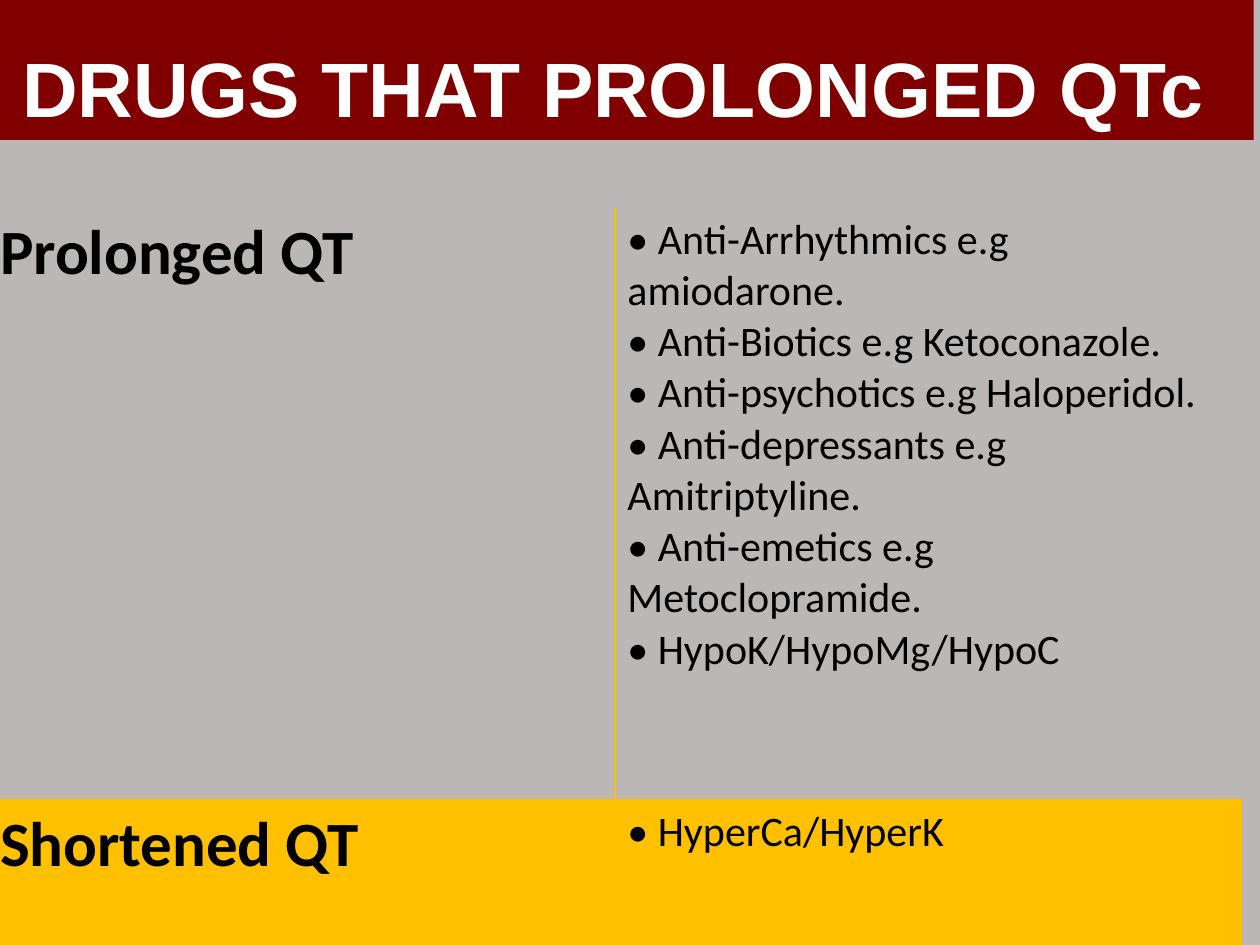
from lxml.etree import SubElement as Sub
from pptx import Presentation
from pptx.dml.color import RGBColor as RGB
from pptx.enum.shapes import MSO_SHAPE as Shape
from pptx.enum.text import MSO_ANCHOR as Anchor, PP_ALIGN as Align
from pptx.oxml.ns import qn
from pptx.util import Inches as In, Pt

TITLE = "DRUGS THAT PROLONGED QTc"
ROWS = [
    ("Prolonged QT", [
        "Anti-Arrhythmics e.g amiodarone.",
        "Anti-Biotics e.g Ketoconazole.",
        "Anti-psychotics e.g Haloperidol.",
        "Anti-depressants e.g Amitriptyline.",
        "Anti-emetics e.g Metoclopramide.",
        "HypoK/HypoMg/HypoC",
    ]),
    ("Shortened QT", ["HyperCa/HyperK"]),
]
HIGHS = [4.7, 1.15]
COL = 4.98
GREY, RED, GOLD = RGB(0xBB, 0xB7, 0xB6), RGB(0x80, 0, 0), RGB(0xFF, 0xC0, 0)
WHITE, BLACK = RGB(255, 255, 255), RGB(0, 0, 0)


def write(par, text, size, font, color, bold):
    run = par.add_run()
    run.text = text
    face = run.font
    face.size, face.name, face.bold = Pt(size), font, bold
    face.color.rgb = color


def edge(cell, side, width):
    """Draw one cell border; a width of 0 hides it."""
    line = Sub(cell._tc.get_or_add_tcPr(), qn("a:ln" + side), w=str(Pt(width)))
    if width:
        Sub(Sub(line, qn("a:solidFill")), qn("a:srgbClr"), val=str(GOLD))
    else:
        Sub(line, qn("a:noFill"))


def tint(cell, color, alpha):
    cell.fill.solid()
    cell.fill.fore_color.rgb = color
    clr = cell._tc.tcPr.find(".//" + qn("a:srgbClr"))
    Sub(clr, qn("a:alpha"), val=str(alpha * 1000))


deck = Presentation()
deck.slide_width, deck.slide_height = In(10), In(7.5)
slide = deck.slides.add_slide(deck.slide_layouts[6])
slide.background.fill.solid()
slide.background.fill.fore_color.rgb = GREY

# Table of causes
grid = slide.shapes.add_table(len(ROWS), 2, In(-0.1), In(1.65),
                              In(2 * COL), In(sum(HIGHS))).table
grid.first_row = grid.horz_banding = False
for col in grid.columns:
    col.width = In(COL)
for r, (name, drugs) in enumerate(ROWS):
    grid.rows[r].height = In(HIGHS[r])
    head, body = grid.cell(r, 0), grid.cell(r, 1)
    write(head.text_frame.paragraphs[0], name, 36, "Calibri", BLACK, True)
    frame = body.text_frame
    for i, drug in enumerate(drugs):
        par = frame.add_paragraph() if i else frame.paragraphs[0]
        write(par, "• " + drug, 24, "Calibri", BLACK, False)

    # Inner lines, the rule between rows and the bottom line
    for c, cell in enumerate((head, body)):
        for side, width in (("L", c), ("R", 1 - c),
                            ("T", 2 * r), ("B", 2 - r)):
            edge(cell, side, width)
        if r:
            tint(cell, GOLD, 20)
        else:
            cell.fill.background()

# Title band
band = slide.shapes.add_shape(Shape.RECTANGLE, In(-0.21), In(-0.5),
                              In(10.16), In(1.61))
band.shadow.inherit = False
band.fill.solid()
band.fill.fore_color.rgb = RED
band.line.fill.background()
frame = band.text_frame
frame.word_wrap = True
frame.vertical_anchor = Anchor.BOTTOM
par = frame.paragraphs[0]
par.alignment, par.line_spacing = Align.CENTER, 0.9
write(par, TITLE, 44, "Arial", WHITE, True)

deck.save("out.pptx")
